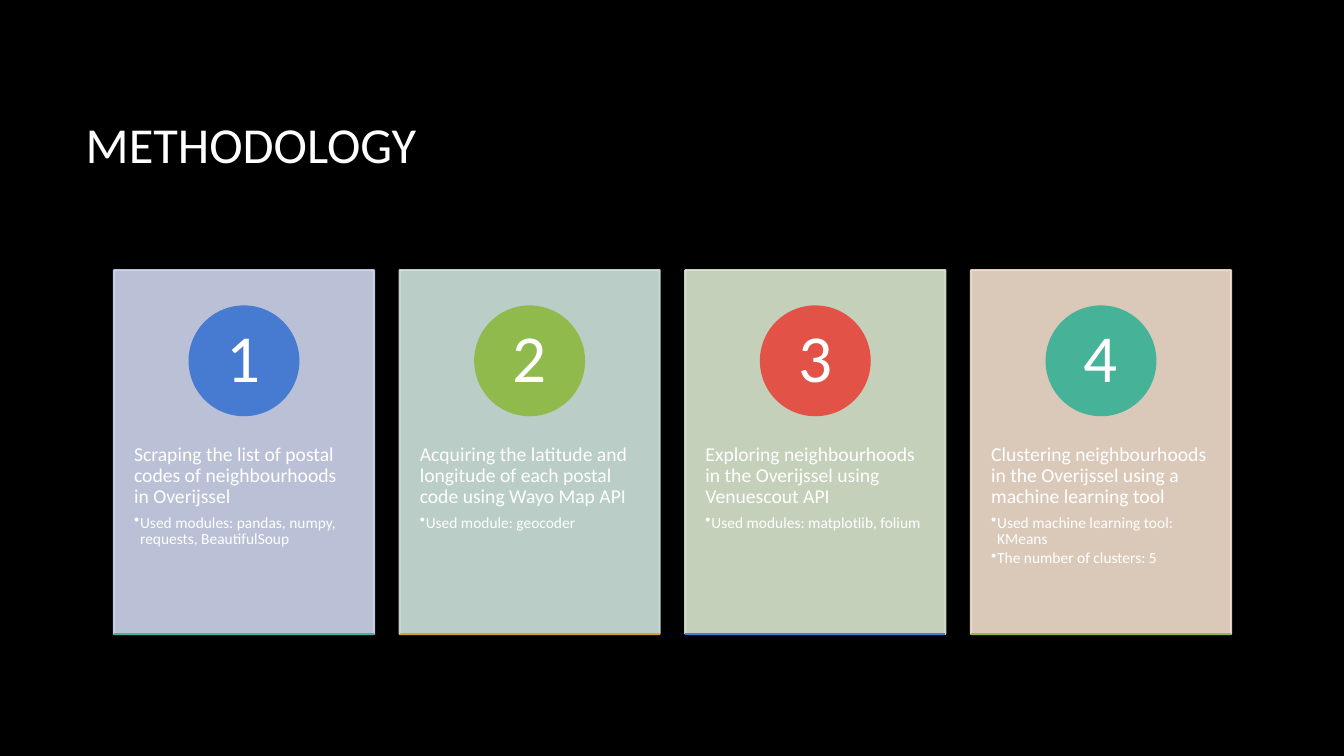
from pptx import Presentation
from pptx.dml.color import RGBColor
from pptx.enum.shapes import MSO_CONNECTOR as Connector, MSO_SHAPE as Shape
from pptx.enum.text import MSO_ANCHOR as Anchor, MSO_AUTO_SIZE as AutoSize, PP_ALIGN as Align
from pptx.oxml.ns import qn
from pptx.util import Inches, Pt


def paint(fill, color):
    fill.solid()
    fill.fore_color.rgb = RGBColor.from_string(color)


def write(para, text, size, after=0):
    para.line_spacing = 0.9
    para.space_after = Pt(size * after)
    span = para.add_run()
    span.text = text
    span.font.name = "Calibri"
    span.font.size = Pt(size)
    paint(span.font.fill, "FFFFFF")


STEPS = [
    ("CFD7EE", "477BD1", "46B298",
     "Scraping the list of postal codes of neighbourhoods in Overijssel",
     ["Used modules: pandas, numpy, requests, BeautifulSoup"]),
    ("CFE4DD", "90BA4C", "DD9D31",
     "Acquiring the latitude and longitude of each postal code using Wayo Map API",
     ["Used module: geocoder"]),
    ("DBE7D0", "E25247", "477BD1",
     "Exploring neighbourhoods in the Overijssel using Venuescout API",
     ["Used modules: matplotlib, folium"]),
    ("F2DFCE", "46B298", "90BA4C",
     "Clustering neighbourhoods in the Overijssel using a machine learning tool",
     ["Used machine learning tool: KMeans", "The number of clusters: 5"]),
]
GRID_LEFT, GRID_RIGHT = Inches(1.13), Inches(12.21)
CARD_TOP, CARD_WIDTH, CARD_HEIGHT = Inches(2.68), Inches(2.58), Inches(3.61)
CARD_BOTTOM = CARD_TOP + CARD_HEIGHT
PITCH = (GRID_RIGHT - GRID_LEFT - CARD_WIDTH) // (len(STEPS) - 1)
CIRCLE, CIRCLE_TOP = Inches(1.1), Inches(3.03)
BODY_TOP, BODY_HEIGHT = Inches(4.05), Inches(2.16)

deck = Presentation()
deck.slide_width, deck.slide_height = Inches(13.33), Inches(7.5)
page = deck.slides.add_slide(deck.slide_layouts[5])
paint(page.background.fill, "000000")

title = page.shapes.title
title.left, title.top = Inches(0.75), Inches(0.67)
title.width, title.height = Inches(11.08), Inches(1.59)
title.text_frame.auto_size = AutoSize.NONE
title.text_frame.vertical_anchor = Anchor.MIDDLE
heading = title.text_frame.paragraphs[0]
heading.alignment = Align.LEFT
write(heading, "METHODOLOGY", 36)

for index, (card_color, circle_color, rule_color, summary, details) in enumerate(STEPS):
    left = GRID_LEFT + index * PITCH

    card = page.shapes.add_shape(Shape.RECTANGLE, left, CARD_TOP, CARD_WIDTH, CARD_HEIGHT)
    circle = page.shapes.add_shape(
        Shape.OVAL, left + (CARD_WIDTH - CIRCLE) // 2, CIRCLE_TOP, CIRCLE, CIRCLE)
    for shape, color in ((card, card_color), (circle, circle_color)):
        shape.shadow.inherit = False
        paint(shape.fill, color)
        paint(shape.line.fill, color)
        shape.line.width = Pt(1.5)
    for tint in card._element.spPr.iter(qn("a:srgbClr")):
        tint.makeelement(qn("a:alpha"))
        alpha = tint.makeelement(qn("a:alpha"), {"val": "90000"})
        tint.append(alpha)
    circle.line.fill.background()

    frame = circle.text_frame
    frame.word_wrap = False
    frame.vertical_anchor = Anchor.MIDDLE
    frame.margin_left = frame.margin_right = Inches(0.08)
    frame.margin_top = frame.margin_bottom = Inches(0.01)
    number = frame.paragraphs[0]
    number.alignment = Align.CENTER
    write(number, str(index + 1), 48)

    body = page.shapes.add_textbox(left, BODY_TOP, CARD_WIDTH, BODY_HEIGHT).text_frame
    body.word_wrap = True
    body.margin_left = body.margin_right = Inches(0.2)
    body.margin_top = body.margin_bottom = Inches(0.36)
    write(body.paragraphs[0], summary, 14, 0.35)
    for detail in details:
        para = body.add_paragraph()
        para.level = 1
        write(para, detail, 11, 0.15)
        props = para._p.get_or_add_pPr()
        props.set("marL", str(Inches(0.06)))
        props.set("indent", str(-Inches(0.06)))
        props.append(props.makeelement(qn("a:buChar"), {"char": "•"}))

    rule = page.shapes.add_connector(
        Connector.STRAIGHT, left, CARD_BOTTOM, left + CARD_WIDTH, CARD_BOTTOM)
    paint(rule.line.fill, rule_color)
    rule.line.width = Pt(2)
    rule_props = rule._element.spPr
    rule_props.append(rule_props.makeelement(qn("a:effectLst")))

deck.save("out.pptx")
